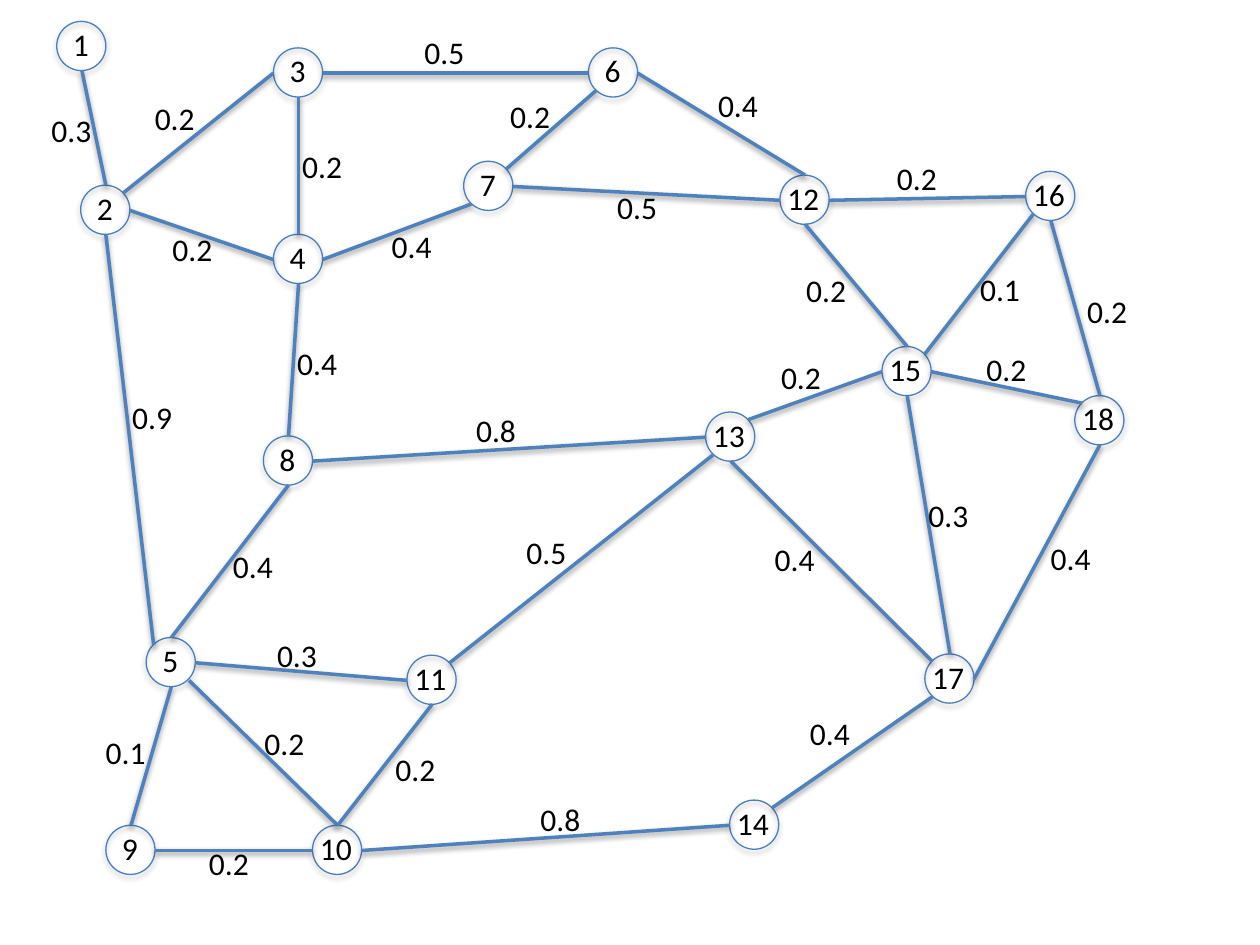
from pptx import Presentation
from pptx import util as u
from pptx.dml.color import RGBColor
from pptx.enum import shapes, text

PX = u.Inches(1) // 100
SIZE = 39
TALL = 40


def paint(hue):
    return RGBColor.from_string(hue)


def label(word, x, y, wide):
    box = page.shapes.add_textbox(x * PX, y * PX, wide * PX, TALL * PX)
    frame = box.text_frame
    for key, val in {"word_wrap": False, "auto_size": text.MSO_AUTO_SIZE.SHAPE_TO_FIT_TEXT}.items():
        setattr(frame, key, val)
    run = frame.paragraphs[0].add_run()
    run.text = word
    for key, val in {"name": "Calibri", "size": u.Pt(18)}.items():
        setattr(run.font, key, val)
    run.font.color.rgb = paint("000000")


deck = Presentation()
deck.slide_width, deck.slide_height = 1000 * PX, 750 * PX
page = deck.slides.add_slide(deck.slide_layouts[6])

nodes = {
    1: (45, 17), 2: (64, 147), 3: (217, 38), 4: (217, 186), 5: (116, 506), 6: (467, 38),
    7: (368, 128), 8: (209, 346), 9: (84, 655), 10: (248, 655), 11: (323, 520), 12: (619, 139),
    13: (560, 327), 14: (579, 635), 15: (700, 275), 16: (814, 136), 17: (734, 519), 18: (853, 314),
}
sites = {
    "n": (20, 0), "ne": (34, 6), "e": (39, 20), "se": (34, 34),
    "s": (20, 39), "sw": (6, 34), "w": (0, 20), "nw": (6, 6),
}
edges = [
    (5, "s", 9, "n", "0.1", 74, 577),
    (5, "se", 10, "n", "0.2", 200, 570),
    (5, "e", 11, "w", "0.3", 210, 500),
    (5, "n", 8, "s", "0.4", 175, 429),
    (8, "n", 4, "s", "0.4", 226, 268),
    (8, "e", 13, "w", "0.8", 368, 321),
    (4, "n", 3, "s", "0.2", 230, 112),
    (9, "e", 10, "w", "0.2", 156, 665),
    (10, "n", 11, "s", "0.2", 304, 590),
    (10, "e", 14, "w", "0.8", 419, 630),
    (11, "ne", 13, "sw", "0.5", 408, 418),
    (14, "ne", 17, "sw", "0.4", 633, 562),
    (17, "n", 15, "s", "0.3", 727, 389),
    (13, "ne", 15, "w", "0.2", 610, 279),
    (15, "n", 12, "s", "0.2", 630, 210),
    (15, "e", 18, "nw", "0.2", 773, 273),
    (18, "s", 17, "e", "0.4", 824, 423),
    (2, "e", 4, "w", "0.2", 127, 178),
    (4, "e", 7, "sw", "0.4", 301, 175),
    (2, "s", 5, "nw", "0.9", 95, 311),
    (2, "ne", 3, "w", "0.2", 113, 74),
    (3, "e", 6, "w", "0.5", 327, 21),
    (7, "e", 12, "w", "0.5", 480, 144),
    (6, "e", 12, "n", "0.4", 560, 63),
    (12, "e", 16, "w", "0.2", 702, 121),
    (16, "s", 18, "n", "0.2", 853, 227),
    (13, "s", 17, "nw", "0.4", 605, 424),
    (15, "ne", 16, "sw", "0.1", 768, 209),
    (7, "ne", 6, "sw", "0.2", 395, 72),
    (1, "s", 2, "n", "0.3", 31, 83),
]

for x, y in nodes.values():
    ring = page.shapes.add_shape(shapes.MSO_SHAPE.OVAL, x * PX, y * PX, SIZE * PX, SIZE * PX)
    ring.fill.background()
    ring.line.color.rgb = paint("4B7EBC")
    ring.line.width = u.Pt(0.75)

for one, out, two, into, *rest in edges:
    ends = [(at + off) * PX for node, site in ((one, out), (two, into))
            for at, off in zip(nodes[node], sites[site])]
    link = page.shapes.add_connector(shapes.MSO_CONNECTOR.STRAIGHT, *ends)
    link.line.color.rgb = paint("4F81BD")
    link.line.width = u.Pt(2)

for *ends, word, x, y in edges:
    label(word, x, y, 52)

for num, (x, y) in nodes.items():
    wide = 33 if num < 10 else 46
    label(str(num), x + (SIZE - wide) // 2, y - 2, wide)

deck.save("out.pptx")
